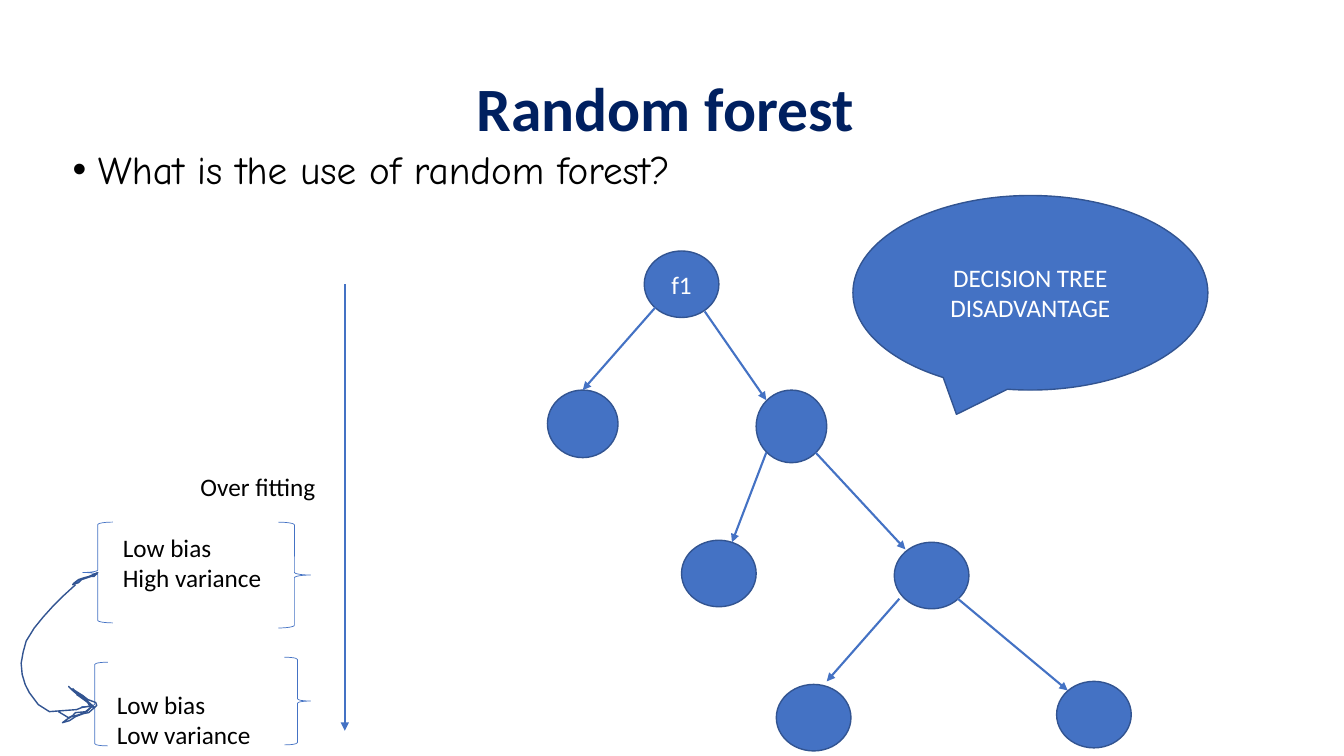
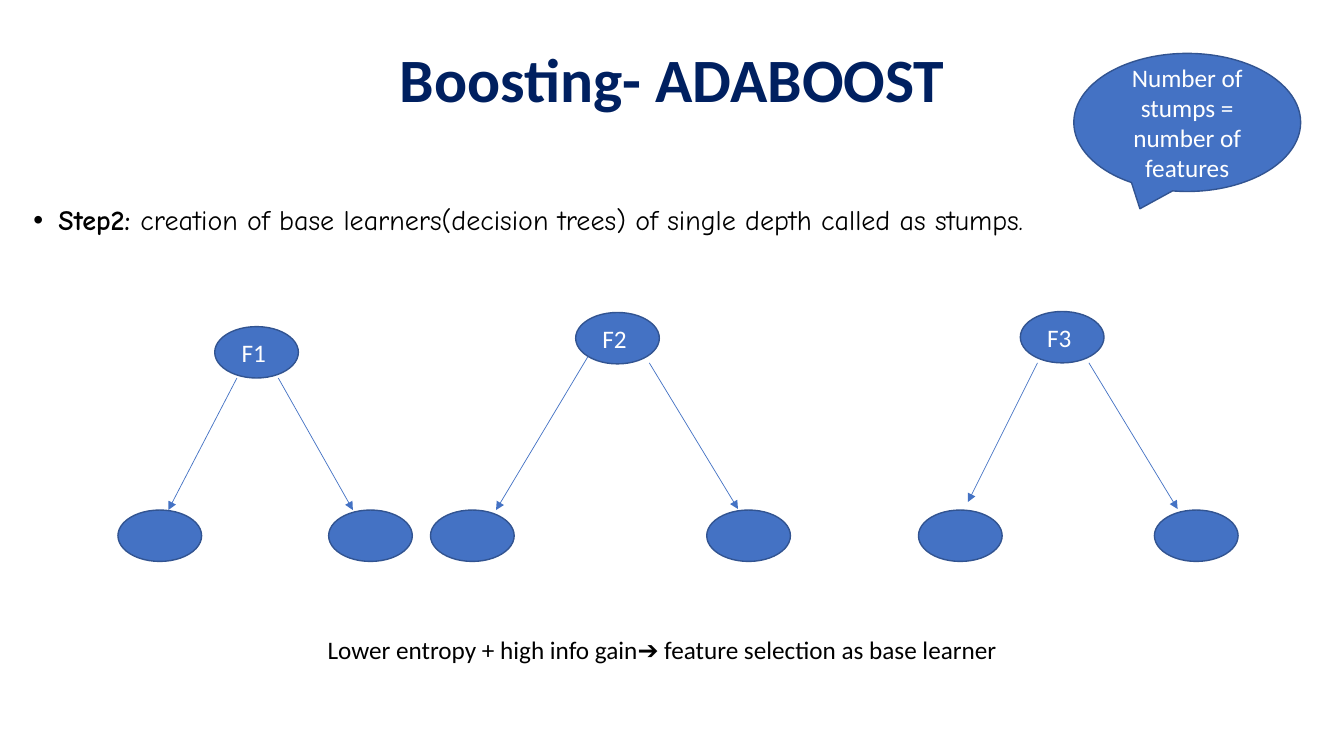
from dataclasses import dataclass
from typing import NamedTuple, Optional

from lxml import etree
from pptx import Presentation
from pptx import util as u
from pptx.dml.color import RGBColor
from pptx.enum import shapes, text
from pptx.oxml import ns

COLOURS = {"title": "002060", "text": "000000", "inverse": "FFFFFF",
           "accent": "4472C4", "outline": "325491"}
SANS, HAND = "Calibri", "Comic Neue"
SHAPE = shapes.MSO_SHAPE
ALIGN = text.PP_ALIGN


class Box(NamedTuple):
    x: float
    y: float
    w: float
    h: float


@dataclass
class Node:
    box: Box
    label: str = ""


@dataclass
class Arrow:
    """Straight arrow; top_of is the index of a node whose top it joins."""
    x1: float
    y1: float
    x2: float
    y2: float
    top_of: Optional[int] = None


@dataclass
class Brace:
    kind: SHAPE
    box: Box
    middle: float = 0.5


@dataclass
class Label:
    box: Box
    lines: list[str]


@dataclass
class Stroke:
    """Hand-drawn outline through points; filled when closed."""
    points: list[tuple[float, float]]
    closed: bool = False


@dataclass
class Stump:
    feature: str
    root: tuple[float, float]
    leaves: tuple[float, float]
    arrows: list[Arrow]


def emu(box: Box) -> list[u.Length]:
    return [u.Inches(length) for length in box]


def rgb(name: str) -> RGBColor:
    return RGBColor.from_string(COLOURS[name])


def set_font(paragraph, size: float, colour: str, name: str = SANS,
             bold: bool = False) -> None:
    font = paragraph.font
    font.size, font.name, font.bold = u.Pt(size), name, bold
    font.color.rgb = rgb(colour)


def set_line(shape, colour: str, width: float) -> None:
    shape.line.color.rgb = rgb(colour)
    shape.line.width = u.Pt(width)


def move(placeholder, box: Box) -> None:
    placeholder.left, placeholder.top, placeholder.width, placeholder.height = emu(box)
    placeholder.text_frame.auto_size = text.MSO_AUTO_SIZE.NONE


def add_title(slide, title: str, box: Box) -> None:
    heading = slide.shapes.title
    move(heading, box)
    heading.text_frame.vertical_anchor = text.MSO_ANCHOR.MIDDLE
    paragraph = heading.text_frame.paragraphs[0]
    paragraph.text = title
    paragraph.alignment = ALIGN.CENTER
    paragraph.line_spacing = 0.9
    set_font(paragraph, 44, "title", bold=True)


def add_bullet(slide, box: Box, size: float, sentence: str, lead: str = "") -> None:
    """Fill the body with one bullet, opened by an optional bold lead."""
    body = slide.placeholders[1]
    move(body, box)
    paragraph = body.text_frame.paragraphs[0]
    if lead:
        paragraph.add_run().text = lead
        paragraph.runs[0].font.bold = True
    paragraph.add_run().text = sentence
    paragraph.line_spacing = 0.9
    paragraph.space_before = u.Pt(10)
    set_font(paragraph, size, "text", HAND)
    properties = paragraph.runs[0]._r.getparent().get_or_add_pPr()
    properties.set("marL", str(u.Inches(0.25)))
    properties.set("indent", str(u.Inches(-0.25)))
    font = etree.Element(ns.qn("a:buFont"), typeface="Arial")
    bullet = etree.Element(ns.qn("a:buChar"), char="•")
    defaults = properties.find(ns.qn("a:defRPr"))
    defaults.addprevious(font)
    defaults.addprevious(bullet)


def add_solid(slide, kind: SHAPE, box: Box, label: str = ""):
    solid = slide.shapes.add_shape(kind, *emu(box))
    solid.shadow.inherit = False
    solid.fill.solid()
    solid.fill.fore_color.rgb = rgb("accent")
    set_line(solid, "outline", 1)
    if label:
        paragraph = solid.text_frame.paragraphs[0]
        paragraph.text = label
        paragraph.alignment = ALIGN.CENTER
        set_font(paragraph, 18, "inverse")
    return solid


def add_arrow(slide, arrow: Arrow, width: float, target=None) -> None:
    ends = (u.Inches(end) for end in (arrow.x1, arrow.y1, arrow.x2, arrow.y2))
    connector = slide.shapes.add_connector(shapes.MSO_CONNECTOR.STRAIGHT, *ends)
    if target is not None:
        connector.end_connect(target, 0)
    set_line(connector, "accent", width)
    etree.SubElement(connector.line._get_or_add_ln(), ns.qn("a:tailEnd"), type="triangle")
    etree.SubElement(connector._element.spPr, ns.qn("a:effectLst"))


def add_tree(slide, nodes: list[Node], arrows: list[Arrow], width: float) -> None:
    drawn = [add_solid(slide, SHAPE.OVAL, node.box, node.label) for node in nodes]
    for arrow in arrows:
        target = None if arrow.top_of is None else drawn[arrow.top_of]
        add_arrow(slide, arrow, width, target)


def add_label(slide, label: Label) -> None:
    frame = slide.shapes.add_textbox(*emu(label.box)).text_frame
    frame.word_wrap = True
    frame.text = "\n".join(label.lines)
    for paragraph in frame.paragraphs:
        set_font(paragraph, 18, "text")


def add_brace(slide, brace: Brace) -> None:
    shape = slide.shapes.add_shape(brace.kind, *emu(brace.box))
    shape.shadow.inherit = False
    shape.fill.background()
    shape.adjustments[1] = brace.middle
    set_line(shape, "accent", 0.5)


def add_stroke(slide, stroke: Stroke) -> None:
    start, *rest = [(u.Inches(x), u.Inches(y)) for x, y in stroke.points]
    builder = slide.shapes.build_freeform(*start)
    builder.add_line_segments(rest, close=stroke.closed)
    shape = builder.convert_to_shape()
    shape.shadow.inherit = False
    if stroke.closed:
        shape.fill.solid()
        shape.fill.fore_color.rgb = rgb("accent")
    else:
        shape.fill.background()
    set_line(shape, "outline", 1)


FOREST_NODES = [
    Node(Box(6.39, 2.49, 0.74, 0.66), "f1"),
    Node(Box(5.43, 3.87, 0.7, 0.67)),
    Node(Box(7.5, 3.87, 0.7, 0.72)),
    *(Node(Box(x, y, 0.74, 0.66))
      for x, y in [(6.76, 5.36), (8.87, 5.38), (7.7, 6.79), (10.48, 6.76)]),
]
FOREST_ARROWS = [
    Arrow(6.5, 3.05, 5.78, 3.87, top_of=1),
    Arrow(6.99, 3.09, 7.6, 3.97),
    Arrow(7.6, 4.49, 7.26, 5.38),
    Arrow(8.09, 4.49, 8.98, 5.45),
    Arrow(8.92, 5.94, 8.2, 6.76),
    Arrow(9.5, 5.94, 10.59, 6.85),
]
DEPTH_ARROW = Arrow(3.42, 2.82, 3.42, 7.25)
FITTING_LABELS = [
    Label(Box(1.89, 4.63, 1.5, 0.4), ["Over fitting"]),
    Label(Box(1.12, 5.23, 1.76, 0.71), ["Low bias", "High variance"]),
    Label(Box(1.06, 6.79, 1.58, 1.01), ["Low bias", "Low variance"]),
]
FITTING_BRACES = [
    Brace(SHAPE.LEFT_BRACE, Box(0.82, 5.18, 0.3, 1)),
    Brace(SHAPE.RIGHT_BRACE, Box(2.76, 5.18, 0.32, 1.05)),
    Brace(SHAPE.LEFT_BRACE, Box(0.81, 6.57, 0.26, 0.83), 0.53),
    Brace(SHAPE.RIGHT_BRACE, Box(2.82, 6.52, 0.26, 0.87)),
]
VARIANCE_STROKES = [
    Stroke([(0.75, 5.8), (0.63, 5.91), (0.52, 6.02), (0.43, 6.12), (0.34, 6.23),
            (0.26, 6.36), (0.23, 6.47), (0.21, 6.58), (0.22, 6.69), (0.25, 6.79),
            (0.29, 6.87), (0.38, 6.99), (0.49, 7.06), (0.76, 7.04), (0.81, 7.02),
            (0.92, 7), (0.86, 7.06), (0.75, 7.07), (0.72, 7.1), (0.68, 7.12),
            (0.58, 7.06)]),
    Stroke([(0.97, 5.68), (0.88, 5.72), (0.84, 5.73), (0.78, 5.75), (0.74, 5.78),
            (0.72, 5.8), (0.78, 5.78), (0.81, 5.75), (0.9, 5.72), (0.93, 5.72)],
           closed=True),
    Stroke([(0.76, 6.89), (0.9, 6.99), (0.94, 7.02), (0.86, 6.95), (0.83, 6.92),
            (0.77, 6.88), (0.7, 6.83), (0.68, 6.81), (0.72, 6.85), (0.79, 6.91),
            (0.87, 6.97), (0.9, 7.02), (0.85, 7.06), (0.79, 7.09), (0.71, 7.11),
            (0.66, 7.14), (0.62, 7.17), (0.69, 7.15), (0.75, 7.11), (0.83, 7.08),
            (0.88, 7.07), (0.96, 7), (0.95, 6.97), (0.87, 6.94), (0.82, 6.9),
            (0.74, 6.85), (0.72, 6.83)]),
]

STUMP_SIZE = (0.83, 0.51)
LEAF_TOP = 5.06
STUMPS = [
    Stump("F1 ", (2.13, 3.24), (1.17, 3.26),
          [Arrow(2.35, 3.75, 1.67, 5.06), Arrow(2.76, 3.75, 3.5, 5.06)]),
    Stump("F2 ", (5.71, 3.1), (4.27, 7.01),
          [Arrow(5.83, 3.54, 4.92, 5.06), Arrow(6.44, 3.6, 7.32, 5.05)]),
    Stump("F3 ", (10.12, 3.09), (9.11, 11.45),
          [Arrow(10.29, 3.6, 9.6, 4.98), Arrow(10.8, 3.6, 11.68, 5.05)]),
]


def build_random_forest(slide) -> None:
    add_title(slide, "Random forest ", Box(0.92, 0.38, 11.5, 1.45))
    add_bullet(slide, Box(0.62, 1.44, 12.09, 5.29), 28,
               "What is the use of random forest?")
    add_tree(slide, FOREST_NODES, FOREST_ARROWS, 1.5)
    add_arrow(slide, DEPTH_ARROW, 1.5)
    add_solid(slide, SHAPE.OVAL_CALLOUT, Box(8.46, 1.94, 3.52, 1.93),
              "DECISION TREE DISADVANTAGE")
    for brace in FITTING_BRACES:
        add_brace(slide, brace)
    for label in FITTING_LABELS:
        add_label(slide, label)
    for stroke in VARIANCE_STROKES:
        add_stroke(slide, stroke)


def build_adaboost(slide) -> None:
    add_title(slide, "Boosting- ADABOOST", Box(0.92, 0.4, 11.5, 0.84))
    add_bullet(slide, Box(0.23, 2, 12.67, 4.76), 20,
               "creation of base learners(decision trees) of single depth called as stumps.",
               lead="Step2: ")
    for stump in STUMPS:
        root = Node(Box(*stump.root, *STUMP_SIZE), stump.feature)
        leaves = [Node(Box(x, LEAF_TOP, *STUMP_SIZE)) for x in stump.leaves]
        add_tree(slide, [root, *leaves], stump.arrows, 0.5)
    add_solid(slide, SHAPE.OVAL_CALLOUT, Box(10.65, 0.53, 2.25, 1.37),
              "Number of stumps = number of features")
    add_label(slide, Label(Box(3.15, 6.24, 7.99, 0.4), [
        "Lower entropy + high info gain➔ feature selection as base learner"]))


def main() -> None:
    deck = Presentation()
    deck.slide_width, deck.slide_height = u.Inches(13.33), u.Inches(7.5)
    title_and_content = deck.slide_layouts[1]
    for build in (build_random_forest, build_adaboost):
        build(deck.slides.add_slide(title_and_content))
    deck.save("out.pptx")


if __name__ == "__main__":
    main()
